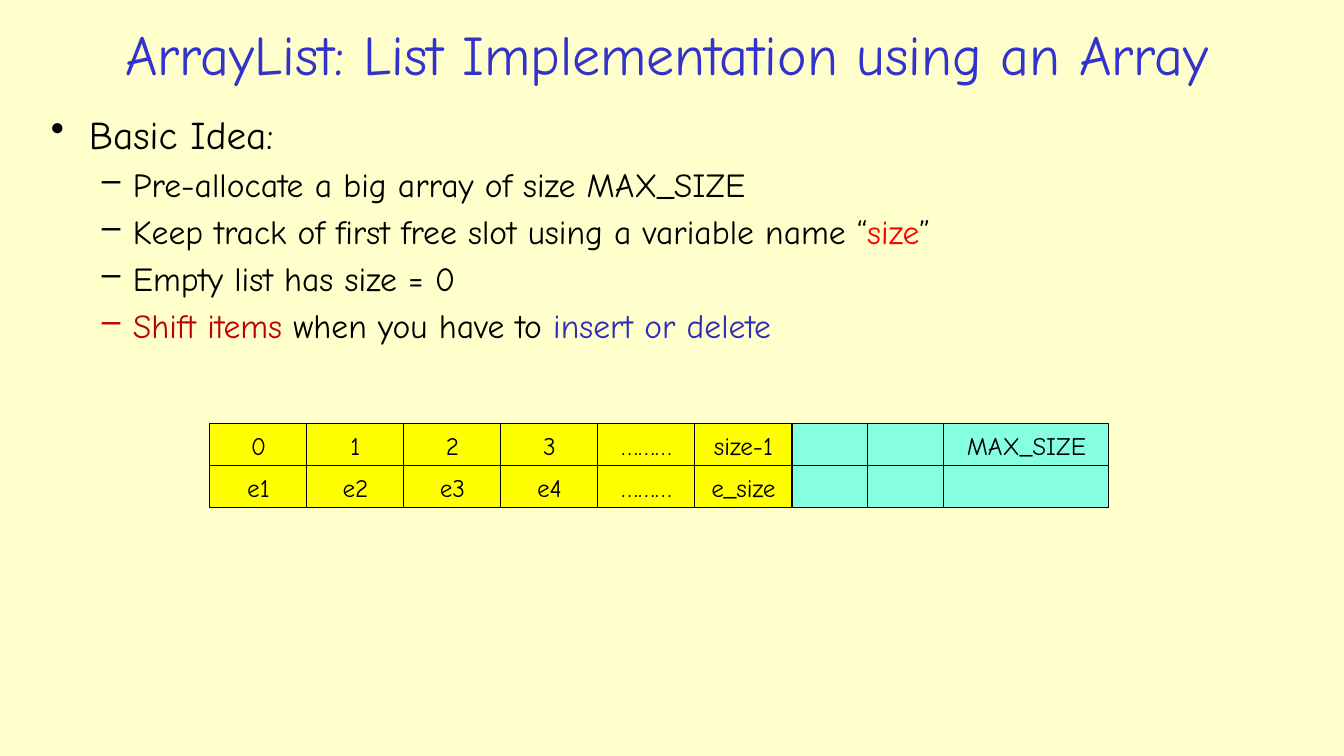
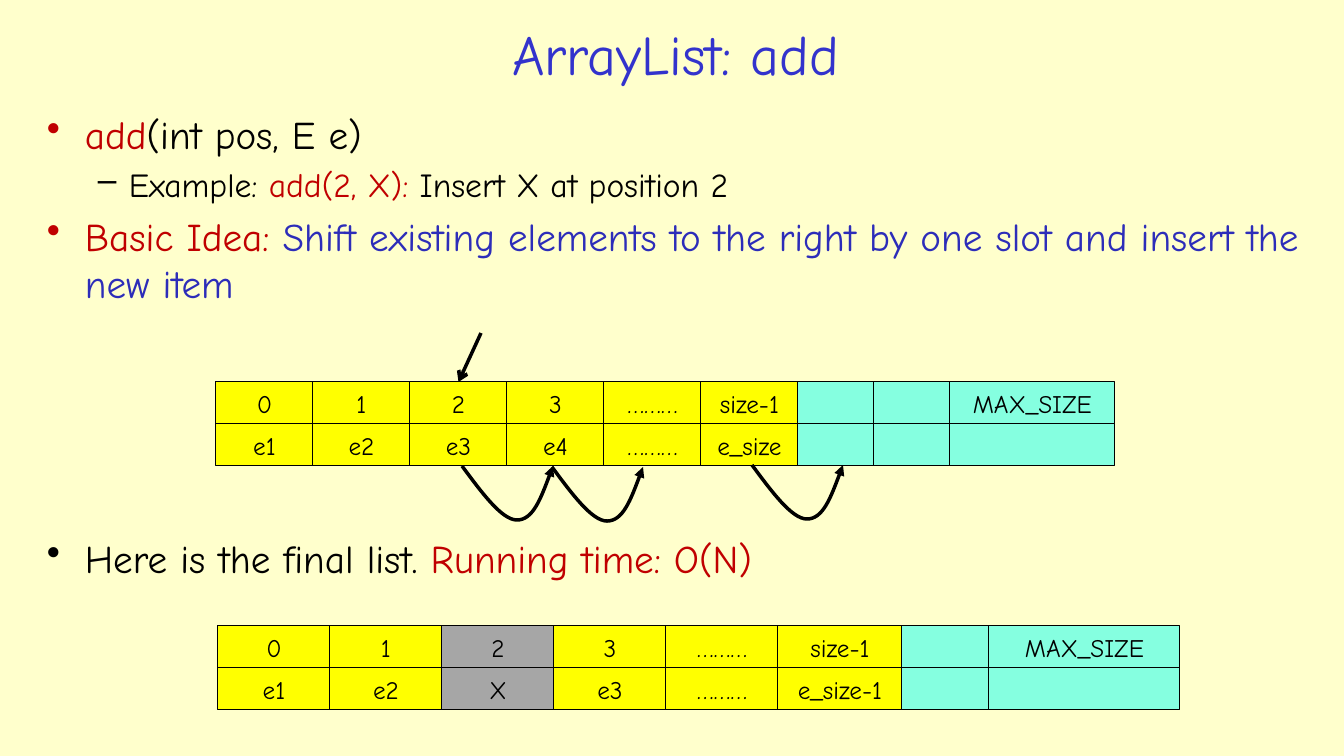
import itertools

import lxml.etree
import pptx
import pptx.dml.color
import pptx.enum.shapes
import pptx.enum.text
import pptx.oxml.ns
import pptx.util

RGB = pptx.dml.color.RGBColor
Pt = pptx.util.Pt
qn = pptx.oxml.ns.qn
ALIGN = pptx.enum.text.PP_ALIGN
ANCHOR = pptx.enum.text.MSO_ANCHOR

CREAM = RGB(0xFF, 0xFF, 0xCC)
INDIGO = RGB(0x33, 0x33, 0xCC)
BLUE = RGB(0x2D, 0x2D, 0xB9)
BLACK = RGB(0, 0, 0)
RED = RGB(0xFF, 0, 0)
CRIMSON = RGB(0xC0, 0, 0)
YELLOW = RGB(0xFF, 0xFF, 0)
MINT = RGB(0x85, 0xFF, 0xE0)
GREY = RGB(0xA6, 0xA6, 0xA6)

PX = 12192000 / 1344  # EMU in one px
FONT = "Comic Neue"
ROW = 42
# Size, bullet, indent and hang for each level of the body text
LEVELS = [(28, "•", 38, 38), (24, "–", 82, 31)]
# Offsets of a curve that hangs from one cell to the next
SWOOP = [(20, 27), (40, 54), (55, 54), (71, 54), (81, 27), (91, 0)]


def emu(*lengths):
    return [round(n * PX) for n in lengths]


def put(target, **values):
    for name, value in values.items():
        setattr(target, name, value)


class Deck:
    def __init__(self):
        self.prs = pptx.Presentation()
        width, height = emu(1344, 756)
        put(self.prs, slide_width=width, slide_height=height)
        fill = self.prs.slide_master.background.fill
        fill.solid()
        fill.fore_color.rgb = CREAM

    def page(self, title, left, width):
        self.slide = self.prs.slides.add_slide(self.prs.slide_layouts[6])
        self.shapes = self.slide.shapes
        frame = self.box(left, 15, width, 77)
        frame.vertical_anchor = ANCHOR.MIDDLE
        para = frame.paragraphs[0]
        para.alignment = ALIGN.CENTER
        self.run(para, title, 40, INDIGO)

    def box(self, left, top, width, height):
        frame = self.shapes.add_textbox(*emu(left, top, width, height)).text_frame
        frame.word_wrap = True
        return frame

    def run(self, para, text, size, color):
        run = para.add_run()
        run.text = text
        put(run.font, name=FONT, size=Pt(size))
        run.font.color.rgb = color

    def body(self, left, top, width, height, items):
        """Draw bullets; an item is a level followed by (text, colour) pairs."""
        frame = self.box(left, top, width, height)
        for i, (level, *runs) in enumerate(items):
            para = frame.add_paragraph() if i else frame.paragraphs[0]
            size, mark, indent, hang = LEVELS[level]
            put(para, level=level, space_before=Pt(size * 0.2))
            props = para._p.get_or_add_pPr()
            for name, length in zip(("marL", "indent"), emu(indent, -hang)):
                props.set(name, str(length))
            lxml.etree.SubElement(props, qn("a:buChar")).set("char", mark)
            for text, color in runs:
                self.run(para, text, size, color)

    def stroke(self, shape, width):
        shape.line.color.rgb = BLACK
        shape.line.width = Pt(width)

    def cell(self, left, top, width, fill, text):
        kind = pptx.enum.shapes.MSO_SHAPE.RECTANGLE
        cell = self.shapes.add_shape(kind, *emu(left, top, width, ROW))
        cell.shadow.inherit = False
        cell.fill.solid()
        cell.fill.fore_color.rgb = fill
        self.stroke(cell, 0.75)
        if text:
            frame = cell.text_frame
            put(frame, margin_left=0, margin_right=0, margin_top=0,
                margin_bottom=0, vertical_anchor=ANCHOR.MIDDLE)
            para = frame.paragraphs[0]
            para.alignment = ALIGN.CENTER
            self.run(para, text, 18, BLACK)
        return cell

    def array(self, left, top, cols, *rows):
        """Draw rows of cells under (width, fill) columns; return the cells."""
        edges = itertools.accumulate((width for width, _ in cols), initial=left)
        return [[self.cell(x, top + i * ROW, width, fill, row[j])
                 for i, row in enumerate(rows)]
                for j, (x, (width, fill)) in enumerate(zip(edges, cols))]

    def head(self, shape, kind):
        """Put an arrowhead at the end of a line."""
        line = shape._element.spPr.find(qn("a:ln"))
        lxml.etree.SubElement(line, qn("a:tailEnd")).set("type", kind)

    def arrow(self, x, y, cell):
        """Point from a place to the top of a cell."""
        kind = pptx.enum.shapes.MSO_CONNECTOR.STRAIGHT
        line = self.shapes.add_connector(kind, *emu(x, y, x, y))
        line.end_connect(cell, 0)
        self.stroke(line, 2.5)
        self.head(line, "arrow")
        lxml.etree.SubElement(line._element.spPr, qn("a:effectLst"))

    def swoop(self, x, y):
        pen = self.shapes.build_freeform(x, y, scale=PX)
        pen.add_line_segments([(x + dx, y + dy) for dx, dy in SWOOP], close=False)
        shape = pen.convert_to_shape()
        shape.shadow.inherit = False
        shape.fill.background()
        self.stroke(shape, 2.5)
        self.head(shape, "triangle")
        # Turn each three line points into one cubic curve
        route = next(shape._element.iter(qn("a:path")))
        legs = route.findall(qn("a:lnTo"))
        for start in range(0, len(legs), 3):
            curve = lxml.etree.SubElement(route, qn("a:cubicBezTo"))
            for leg in legs[start:start + 3]:
                curve.append(leg[0])
                route.remove(leg)


LIST = [(97, YELLOW)] * 6 + [(76, MINT)] * 2 + [(165, MINT)]
FINAL = ([(112, YELLOW)] * 2 + [(112, GREY)] + [(112, YELLOW)] * 2
         + [(124, YELLOW), (87, MINT), (191, MINT)])
SLOTS = ["0", "1", "2", "3", "………", "size-1"]
ITEMS = ["e1", "e2", "e3", "e4", "………", "e_size", "", "", ""]
ADDED = ["e1", "e2", "X", "e3", "………", "e_size-1", "", ""]


def main():
    deck = Deck()

    deck.page("ArrayList: List Implementation using an Array", 17, 1300)
    deck.body(41, 105, 1268, 287, [
        (0, ("Basic Idea:", BLACK)),
        (1, ("Pre-allocate a big array of size MAX_SIZE", BLACK)),
        (1, ("Keep track of first free slot using a variable name “", BLACK),
         ("size", RED), ("”", BLACK)),
        (1, ("Empty list has size = 0", BLACK)),
        (1, ("Shift items ", CRIMSON), ("when you have to ", BLACK),
         ("insert or delete", BLUE)),
    ])
    slots = SLOTS + ["", "", "MAX_SIZE"]
    deck.array(210, 424, LIST, slots, ITEMS)

    deck.page("ArrayList: add", 204, 943)
    deck.body(37, 105, 1274, 210, [
        (0, ("add", CRIMSON), ("(int pos, E e)", BLACK)),
        (1, ("Example: ", BLACK), ("add(2, X): ", CRIMSON),
         ("Insert X at position 2", BLACK)),
        (0, ("Basic Idea: ", CRIMSON),
         ("Shift existing elements to the right by one slot and insert "
          "the new item", BLUE)),
    ])
    cells = deck.array(216, 382, LIST, slots, ITEMS)
    for x, y in [(752, 465), (552, 467), (462, 466)]:
        deck.swoop(x, y)
    deck.arrow(481, 333, cells[2][0])
    deck.body(37, 529, 1274, 60, [
        (0, ("Here is the final list. ", BLACK), ("Running time: O(N)", CRIMSON)),
    ])
    deck.array(218, 626, FINAL, SLOTS + ["", "MAX_SIZE"], ADDED)

    deck.prs.save("out.pptx")


if __name__ == "__main__":
    main()
